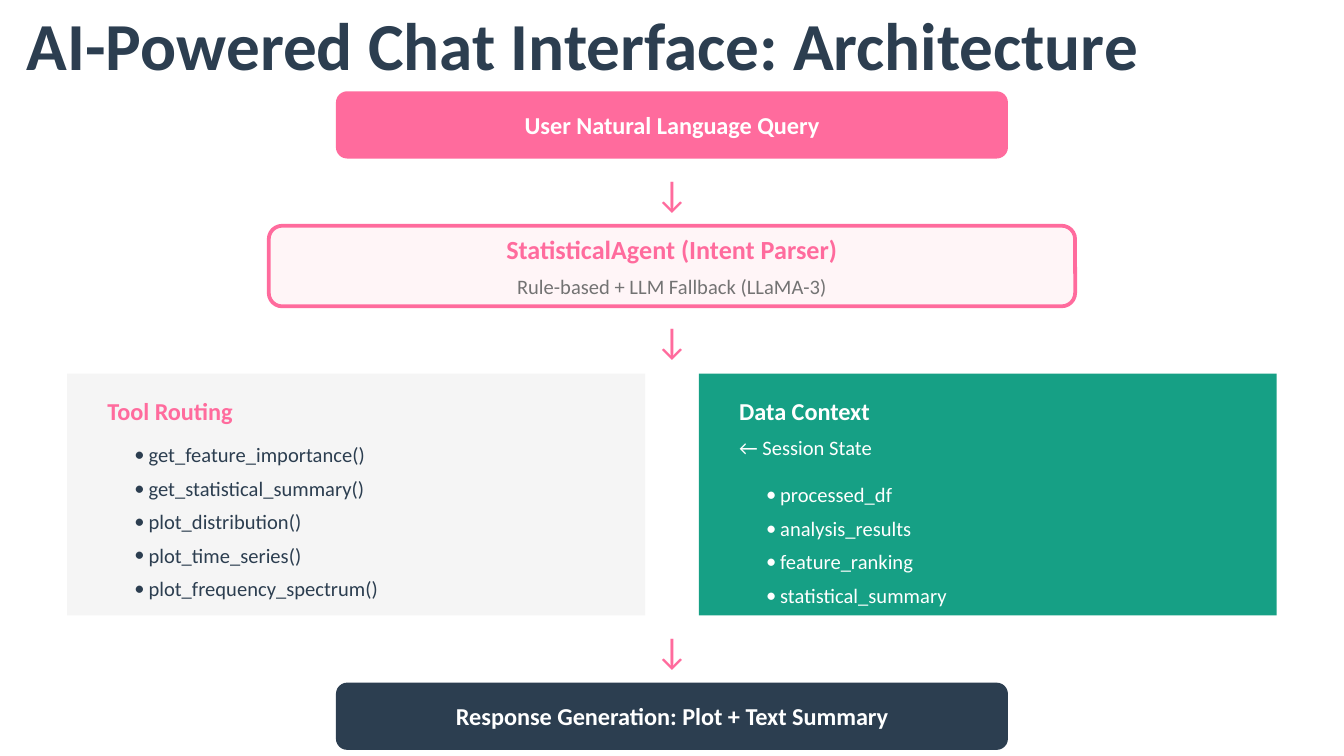
from lxml.etree import SubElement
from pptx import Presentation
from pptx.dml.color import RGBColor
from pptx.enum.shapes import MSO_SHAPE as Shape
from pptx.enum.text import MSO_ANCHOR as Anchor, MSO_AUTO_SIZE as AutoSize, PP_ALIGN as Align
from pptx.oxml.ns import qn
from pptx.util import Pt

PX = 4572  # EMU per px, at 200 px to the inch
WIDTH, HEIGHT = 2000, 1125
FONT = "Calibri"
WHITE = RGBColor(0xFF, 0xFF, 0xFF)
NAVY = RGBColor(0x2C, 0x3E, 0x50)
PINK = RGBColor(0xFF, 0x6B, 0x9D)
BLUSH = RGBColor(0xFF, 0xF5, 0xF7)
GRAY = RGBColor(0x73, 0x73, 0x73)
PALE = RGBColor(0xF5, 0xF5, 0xF5)
GREEN = RGBColor(0x16, 0xA0, 0x85)

TOOLS = ["get_feature_importance()", "get_statistical_summary()", "plot_distribution()",
         "plot_time_series()", "plot_frequency_spectrum()"]
CONTEXT = ["processed_df", "analysis_results", "feature_ranking", "statistical_summary"]
ROW, ROW_HEIGHT = 50, 40  # list pitch and height of one list line
BULLET_INDENT = 21


def px(*values):
    return [v * PX for v in values]


def place(sp, box):
    sp.left, sp.top, sp.width, sp.height = px(*box)


def style(size, color, bold=False):
    return {"size": Pt(size), "color": color, "bold": bold, "name": FONT}


def set_font(font, fmt):
    for key, value in fmt.items():
        if key == "color":
            font.color.rgb = value
        else:
            setattr(font, key, value)


def set_frame(tf, anchor=Anchor.MIDDLE, left=20, top=10):
    frame = {"word_wrap": True, "auto_size": AutoSize.NONE, "vertical_anchor": anchor,
             "margin_left": left * PX, "margin_right": 20 * PX,
             "margin_top": top * PX, "margin_bottom": 10 * PX}
    for key, value in frame.items():
        setattr(tf, key, value)


def add_lines(tf, lines, align, gap=0):
    """Write (text, format) pairs as paragraphs, gap points apart."""
    for i, (text, fmt) in enumerate(lines):
        p = tf.paragraphs[0] if i == 0 else tf.add_paragraph()
        p.alignment = align
        p.space_before = Pt(gap if i else 0)
        r = p.add_run()
        r.text = text
        set_font(r.font, fmt)


def add_box(s, kind, box, fill, line=None):
    sp = s.shapes.add_shape(kind, *px(*box))
    sp.shadow.inherit = False
    sp.fill.solid()
    sp.fill.fore_color.rgb = fill
    if line is None:
        sp.line.fill.background()
    else:
        sp.line.color.rgb = line
        sp.line.width = Pt(2)
    return sp


def add_step(s, box, fill, lines, line=None):
    tf = add_box(s, Shape.ROUNDED_RECTANGLE, box, fill, line).text_frame
    set_frame(tf)
    add_lines(tf, lines, Align.CENTER, gap=4.5)


def add_panel(s, left, fill, lines):
    tf = add_box(s, Shape.RECTANGLE, (left, 556, 860, 360), fill).text_frame
    set_frame(tf, Anchor.TOP, left=60, top=33)
    add_lines(tf, lines, Align.LEFT, gap=5.5)


def add_down_arrow(s, top):
    tf = s.shapes.add_textbox(*px(900, top, 200, 60)).text_frame
    set_frame(tf)
    add_lines(tf, [("↓", style(20, PINK))], Align.CENTER)


def fill_title(sp, text):
    place(sp, (20, 15, 1800, 100))
    set_frame(sp.text_frame)
    add_lines(sp.text_frame, [(text, style(36, NAVY, True))], Align.LEFT)


def fill_list(sp, left, top, items, color):
    place(sp, (left, top, 740, ROW * (len(items) - 1) + ROW_HEIGHT))
    tf = sp.text_frame
    set_frame(tf)
    add_lines(tf, [(item, style(11, color)) for item in items], Align.LEFT, gap=4.7)
    for p in tf.paragraphs:
        pPr = p._p.get_or_add_pPr()
        pPr.set("marL", str(BULLET_INDENT * PX))
        pPr.set("indent", str(-BULLET_INDENT * PX))
        SubElement(pPr, qn("a:buFont"), typeface=FONT)
        SubElement(pPr, qn("a:buChar"), char="•")


def main():
    prs = Presentation()
    prs.slide_width, prs.slide_height = px(WIDTH, HEIGHT)
    s = prs.slides.add_slide(prs.slide_layouts[3])
    title, tool_list, context_list = list(s.placeholders)[:3]
    fill_title(title, "AI-Powered Chat Interface: Architecture")

    label = style(13, WHITE, True)
    add_step(s, (500, 136, 1000, 100), PINK, [("User Natural Language Query", label)])
    add_step(s, (400, 336, 1200, 120), BLUSH,
             [("StatisticalAgent (Intent Parser)", style(14, PINK, True)),
              ("Rule-based + LLM Fallback (LLaMA-3)", style(11, GRAY))], line=PINK)
    add_panel(s, 100, PALE, [("Tool Routing", style(13, PINK, True))])
    add_panel(s, 1040, GREEN, [("Data Context", label), ("← Session State", style(11, WHITE))])
    add_step(s, (500, 1016, 1000, 100), NAVY,
             [("Response Generation: Plot + Text Summary", label)])
    for top in (256, 476, 936):
        add_down_arrow(s, top)

    fill_list(tool_list, 180, 656, TOOLS, NAVY)
    fill_list(context_list, 1120, 716, CONTEXT, WHITE)
    for sp in (tool_list, context_list):  # bring the lists in front of their panels
        s.shapes._spTree.append(sp._element)
    prs.save("out.pptx")


if __name__ == "__main__":
    main()
